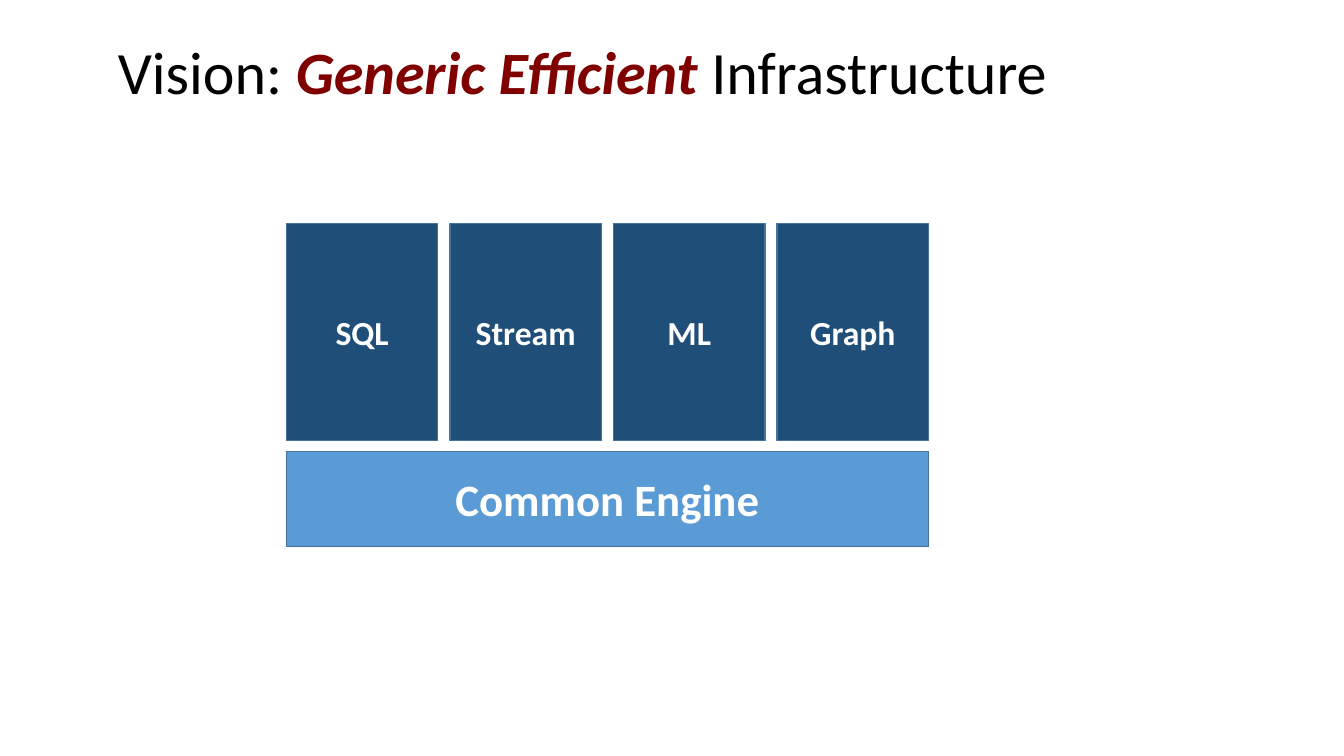
from dataclasses import dataclass

from pptx import Presentation
from pptx import util as u
from pptx.dml.color import RGBColor
from pptx.enum import shapes, text

TITLE = [("Vision: ", False), ("Generic Efficient ", True), ("Infrastructure", False)]
WORKLOADS = ["SQL", "Stream", "ML", "Graph"]
ENGINE = "Common Engine"


@dataclass(frozen=True)
class Theme:
    font: str = "Calibri"
    ink: str = "000000"
    accent: str = "800000"
    on_block: str = "FFFFFF"
    outline: str = "43739E"
    workload_fill: str = "1F4E79"
    engine_fill: str = "5B9BD5"
    title_size: float = 42.9
    workload_size: float = 24
    engine_size: float = 32


THEME = Theme()
SLIDE_WIDTH, SLIDE_HEIGHT = 13.33, 7.5
TITLE_AREA = (1.07, 0.37, 10.66, 1.47)
STACK_LEFT, STACK_TOP, STACK_WIDTH = 2.84, 2.22, 6.37
WORKLOAD_HEIGHT, ENGINE_HEIGHT = 2.15, 0.94
COLUMN_GAP, ROW_GAP = 0.12, 0.11


def color(code):
    return RGBColor.from_string(code)


def write_title(title):
    title.left, title.top, title.width, title.height = map(u.Inches, TITLE_AREA)
    frame = title.text_frame
    frame.word_wrap = True
    frame.auto_size = text.MSO_AUTO_SIZE.NONE
    frame.vertical_anchor = text.MSO_ANCHOR.TOP
    heading = frame.paragraphs[0]
    heading.alignment = text.PP_ALIGN.LEFT
    heading.line_spacing = 0.9
    heading.font.name = THEME.font
    heading.font.size = u.Pt(THEME.title_size)
    for words, stressed in TITLE:
        phrase = heading.add_run()
        phrase.text = words
        phrase.font.bold = phrase.font.italic = stressed
        phrase.font.color.rgb = color(THEME.accent if stressed else THEME.ink)


def add_block(stack, label, area, fill, size):
    block = stack.shapes.add_shape(shapes.MSO_SHAPE.RECTANGLE, *map(u.Inches, area))
    block.shadow.inherit = False
    block.fill.solid()
    block.fill.fore_color.rgb = color(fill)
    block.line.color.rgb = color(THEME.outline)
    block.line.width = u.Pt(1)
    frame = block.text_frame
    frame.word_wrap = True
    frame.vertical_anchor = text.MSO_ANCHOR.MIDDLE
    caption = frame.paragraphs[0]
    caption.text = label
    caption.alignment = text.PP_ALIGN.CENTER
    caption.font.name = THEME.font
    caption.font.size = u.Pt(size)
    caption.font.bold = True
    caption.font.color.rgb = color(THEME.on_block)


def main():
    deck = Presentation()
    deck.slide_width, deck.slide_height = u.Inches(SLIDE_WIDTH), u.Inches(SLIDE_HEIGHT)
    slide = deck.slides.add_slide(deck.slide_layouts.get_by_name("Title Only"))
    write_title(slide.shapes.title)

    stack = slide.shapes.add_group_shape()
    engine_top = STACK_TOP + WORKLOAD_HEIGHT + ROW_GAP
    add_block(stack, ENGINE, (STACK_LEFT, engine_top, STACK_WIDTH, ENGINE_HEIGHT),
              THEME.engine_fill, THEME.engine_size)

    pitch = (STACK_WIDTH + COLUMN_GAP) / len(WORKLOADS)
    for column, workload in enumerate(WORKLOADS):
        area = (STACK_LEFT + column * pitch, STACK_TOP, pitch - COLUMN_GAP, WORKLOAD_HEIGHT)
        add_block(stack, workload, area, THEME.workload_fill, THEME.workload_size)

    deck.save("out.pptx")


if __name__ == "__main__":
    main()
